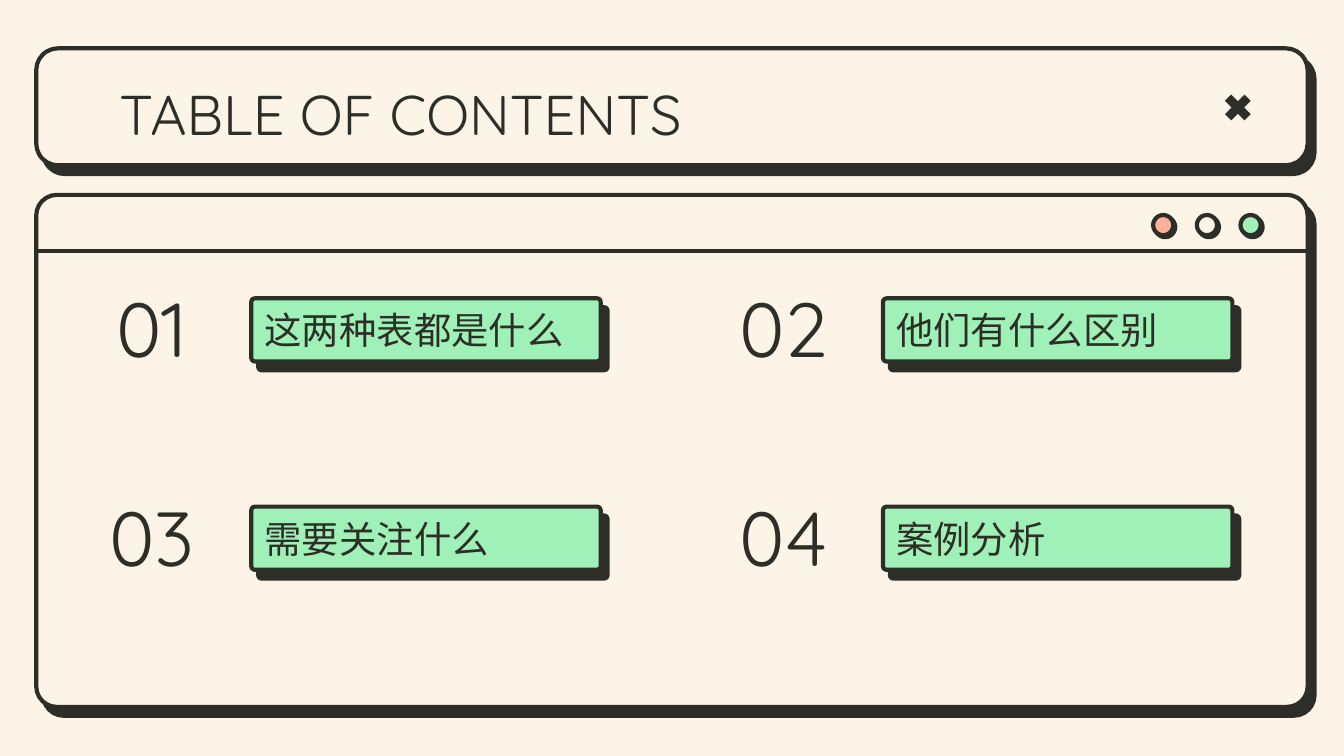
import pptx
import pptx.dml.color
import pptx.enum.shapes
import pptx.enum.text
import pptx.oxml
import pptx.oxml.ns
import pptx.util
from pptx.util import Inches

# Content: number, topic, width of the topic text
TITLE = "TABLE OF CONTENTS"
TOPICS = [
    ("01", "这两种表都是什么", 2.6),
    ("02", "他们有什么区别", 2.24),
    ("03", "需要关注什么", 2.24),
    ("04", "案例分析", 2.24),
]

# Style
INK, CREAM, GREEN, CORAL = "2D2E27", "FCF4E6", "9FF1B7", "FFB09C"
FONT = "Quicksand"
SHAPE = pptx.enum.shapes.MSO_SHAPE
ALIGN = pptx.enum.text.PP_ALIGN
ANCHOR = pptx.enum.text.MSO_ANCHOR

# Layout, in inches
PAGE_WIDTH = 10
PAGE_HEIGHT = PAGE_WIDTH * 9 / 16
LEFT, WIDTH = 0.27, 9.46
BAR_TOP, BAR_HEIGHT = 0.36, 0.87
WINDOW_TOP, WINDOW_HEIGHT, RULE_TOP = 1.45, 3.81, 1.87
CARD_LEFT, CARD_TOP, CARD_WIDTH, CARD_HEIGHT = 1.87, 2.22, 2.6, 0.47
COLUMN_STEP, ROW_STEP = 4.7, 1.55
NUMBER_WIDTH, NUMBER_HEIGHT = 1.48, 0.63

deck = pptx.Presentation()
deck.slide_width, deck.slide_height = Inches(PAGE_WIDTH), Inches(PAGE_HEIGHT)
page = deck.slides.add_slide(deck.slide_layouts[6])


def color(value):
    return pptx.dml.color.RGBColor.from_string(value)


def add_effects(shape, content=""):
    """Give a shape or connector its own effect list."""
    namespace = pptx.oxml.ns.nsdecls("a")
    shape._element.spPr.append(pptx.oxml.parse_xml(
        f"<a:effectLst {namespace}>{content}</a:effectLst>"))


def add_block(kind, left, top, width, height, fill, corner=None,
              outlined=True, shadow=None):
    """Draw a filled shape; shadow is (distance in points, angle in degrees)."""
    shape = page.shapes.add_shape(
        kind, Inches(left), Inches(top), Inches(width), Inches(height))
    shape.fill.solid()
    shape.fill.fore_color.rgb = color(fill)
    if corner is not None:
        shape.adjustments[0] = corner
    if outlined:
        shape.line.color.rgb = color(INK)
        shape.line.width = pptx.util.Pt(2.25)
    else:
        shape.line.fill.background()
    if shadow:
        distance, angle = shadow
        add_effects(shape, (
            f'<a:outerShdw blurRad="0" dist="{pptx.util.Pt(distance)}" '
            f'dir="{angle * 60000}" algn="bl" rotWithShape="0">'
            f'<a:srgbClr val="{INK}"/></a:outerShdw>'))
    else:
        shape.shadow.inherit = False


def add_text(text, left, top, width, height, *, size,
             align=ALIGN.LEFT, anchor=ANCHOR.MIDDLE):
    box = page.shapes.add_textbox(
        Inches(left), Inches(top), Inches(width), Inches(height))
    frame = box.text_frame
    frame.word_wrap = True
    frame.vertical_anchor = anchor
    frame.margin_left = frame.margin_right = Inches(0.1)
    frame.margin_top = frame.margin_bottom = Inches(0.1)
    para = frame.paragraphs[0]
    para.alignment = align
    span = para.add_run()
    span.text = text
    span.font.name = FONT
    span.font.size = pptx.util.Pt(size)
    span.font.color.rgb = color(INK)
    properties = span._r.get_or_add_rPr()
    for script in ("ea", "cs"):
        properties.append(pptx.oxml.parse_xml(
            f'<a:{script} {pptx.oxml.ns.nsdecls("a")} typeface="{FONT}"/>'))


# Background
page.background.fill.solid()
page.background.fill.fore_color.rgb = color(CREAM)

# Title bar and window panel
for top, height, corner in [(BAR_TOP, BAR_HEIGHT, 0.186),
                            (WINDOW_TOP, WINDOW_HEIGHT, 0.04)]:
    add_block(SHAPE.ROUNDED_RECTANGLE, LEFT, top, WIDTH, height, CREAM,
              corner=corner, shadow=(6, 52))
rule = page.shapes.add_connector(
    pptx.enum.shapes.MSO_CONNECTOR.STRAIGHT, Inches(LEFT), Inches(RULE_TOP),
    Inches(LEFT + WIDTH), Inches(RULE_TOP))
rule.line.color.rgb = color(INK)
rule.line.width = pptx.util.Pt(2.25)
add_effects(rule)

# Window buttons and close mark
for index, fill in enumerate([CORAL, CREAM, GREEN]):
    add_block(SHAPE.OVAL, 8.58 + index * 0.65 / 2, 1.6, 0.15, 0.15, fill,
              shadow=(1.5, 45))
add_block(SHAPE.MATH_MULTIPLY, 9.07, 0.66, 0.28, 0.28, INK,
          corner=0.235, outlined=False)

# Title
add_text(TITLE, 0.79, 0.49, 8.43, 0.63, size=30, anchor=ANCHOR.TOP)

# Numbered topics, two to a row
for index, (number, topic, topic_width) in enumerate(TOPICS):
    row, column = divmod(index, 2)
    left = CARD_LEFT + column * COLUMN_STEP
    top = CARD_TOP + row * ROW_STEP
    add_block(SHAPE.ROUNDED_RECTANGLE, left, top, CARD_WIDTH, CARD_HEIGHT,
              GREEN, corner=0.057, shadow=(6, 52))
    add_text(number, left - NUMBER_WIDTH, top - 0.1, NUMBER_WIDTH,
             NUMBER_HEIGHT, size=41, align=ALIGN.CENTER)
    add_text(topic, left, top, topic_width, CARD_HEIGHT, size=20)

deck.save("out.pptx")
